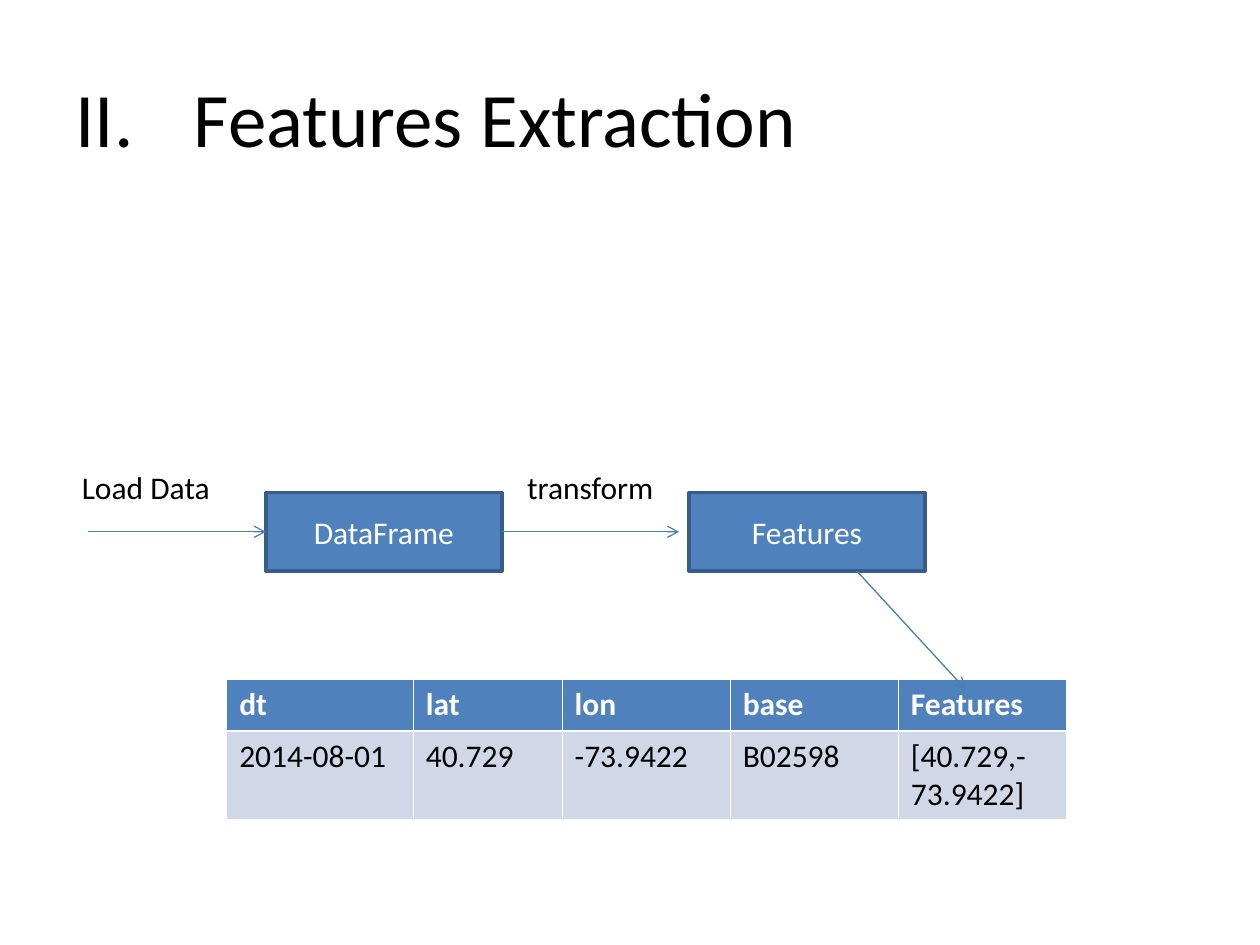
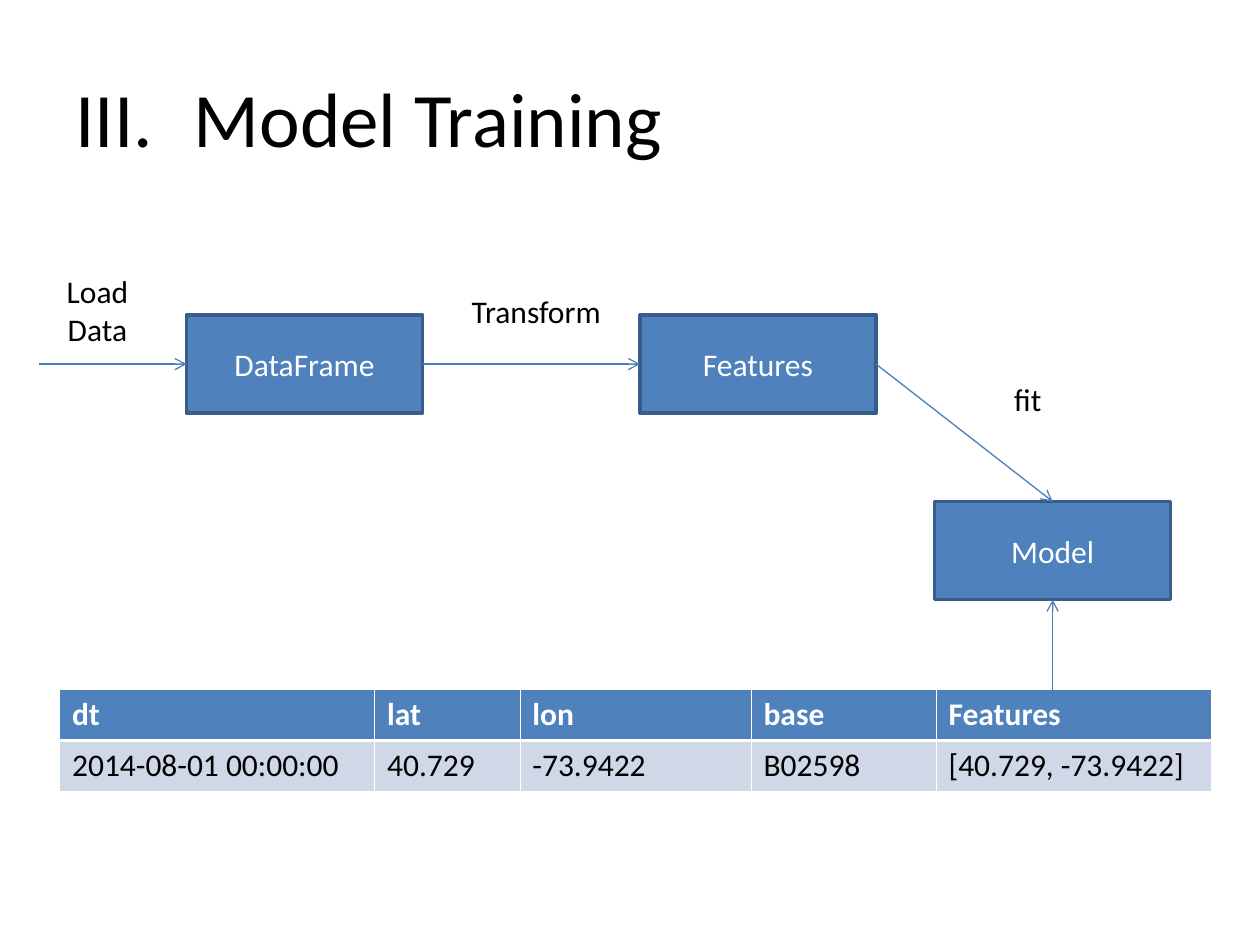
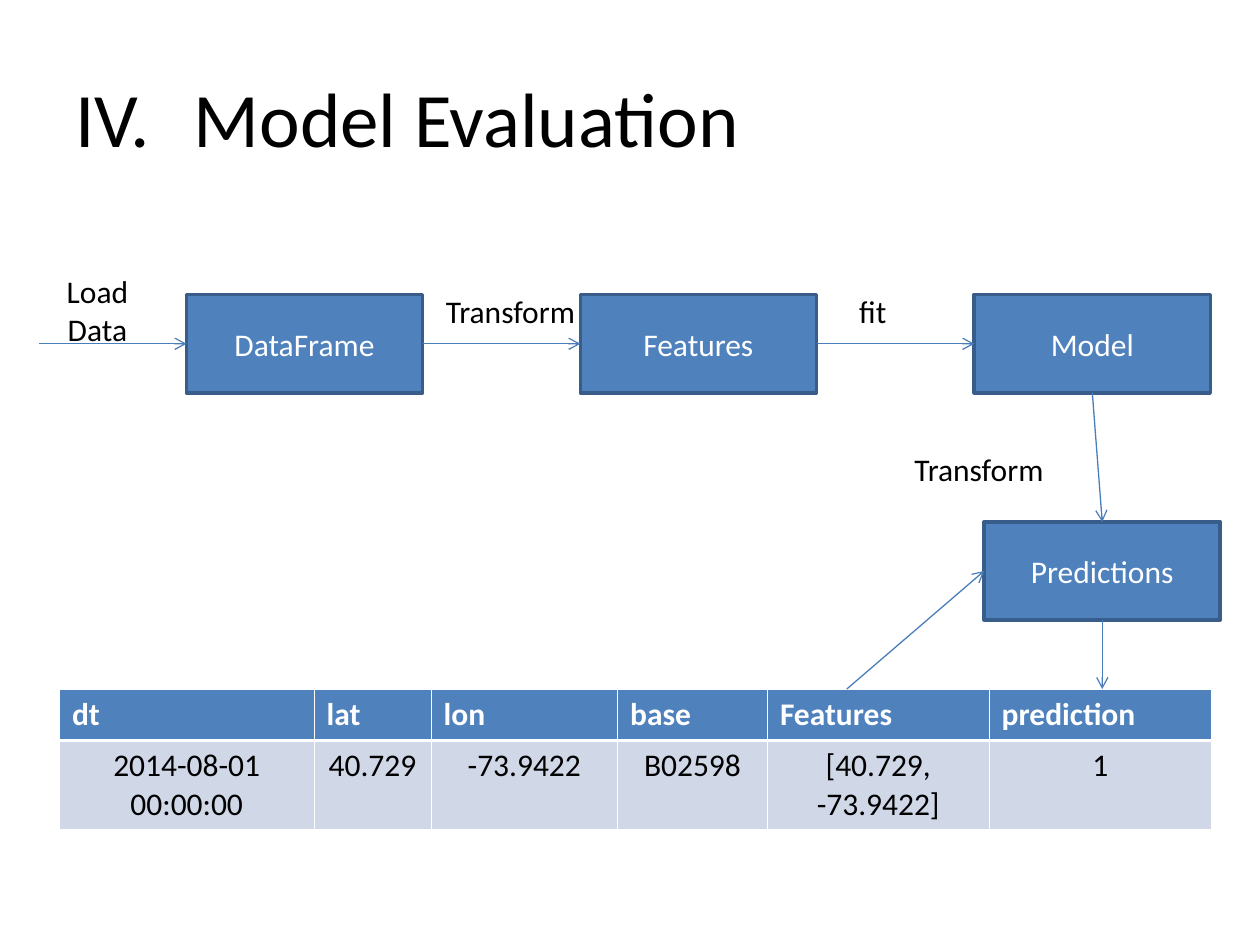
from lxml.etree import SubElement
from pptx import Presentation
from pptx.dml.color import RGBColor
from pptx.enum.shapes import MSO_CONNECTOR as Connector, MSO_SHAPE as Shape
from pptx.enum.text import MSO_ANCHOR as Anchor, PP_ALIGN as Align
from pptx.oxml.ns import qn
from pptx.util import Cm, Pt

BLACK = RGBColor(0x00, 0x00, 0x00)
WHITE = RGBColor(0xFF, 0xFF, 0xFF)
BLUE = RGBColor(0x4F, 0x81, 0xBD)
DARK_BLUE = RGBColor(0x38, 0x5D, 0x8A)
ARROW_BLUE = RGBColor(0x4A, 0x7E, 0xBB)
PALE_BLUE = RGBColor(0xD0, 0xD8, 0xE8)

FONT = "Calibri"
TOP, LEFT, BOTTOM, RIGHT = range(4)
BOX_WIDTH, BOX_HEIGHT = 4.76, 1.98
LABEL_HEIGHT = 1.02
HEADER_HEIGHT = 1.04
ONE_LINE, TWO_LINES = 1.02, 1.78
THIN, THICK = Pt(0.45), Pt(1.47)
FIELDS = ["dt", "lat", "lon", "base", "Features"]


def write(frame, text, size=18, color=BLACK, align=Align.LEFT, bold=False):
    para = frame.paragraphs[0]
    para.alignment = align
    span = para.add_run()
    span.text = text
    span.font.name = FONT
    span.font.size = Pt(size)
    span.font.bold = bold
    span.font.color.rgb = color
    return para


def add_text(page, text, left, top, width, height, **style):
    frame = page.shapes.add_textbox(Cm(left), Cm(top), Cm(width), Cm(height)).text_frame
    frame.word_wrap = True
    return frame, write(frame, text, **style)


def add_label(page, text, left, top, width, height=LABEL_HEIGHT, align=Align.CENTER):
    add_text(page, text, left, top, width, height, align=align)


def add_title(page, text, number):
    frame, para = add_text(page, text, 1.27, 0.76, 22.86, 3.18, size=44)
    frame.vertical_anchor = Anchor.MIDDLE
    properties = para._p.get_or_add_pPr()
    indent = Cm(2.39)
    properties.set("marL", str(indent))
    properties.set("indent", str(-indent))
    SubElement(properties, qn("a:buFont"), typeface=FONT)
    SubElement(properties, qn("a:buAutoNum"), type="romanUcPeriod", startAt=str(number))


def add_box(page, text, left, top, height=BOX_HEIGHT):
    box = page.shapes.add_shape(Shape.RECTANGLE, Cm(left), Cm(top), Cm(BOX_WIDTH), Cm(height))
    box.shadow.inherit = False
    box.fill.solid()
    box.fill.fore_color.rgb = BLUE
    box.line.color.rgb = DARK_BLUE
    box.line.width = Pt(2)
    box.text_frame.word_wrap = True
    box.text_frame.vertical_anchor = Anchor.MIDDLE
    write(box.text_frame, text, color=WHITE, align=Align.CENTER)
    return box


def add_arrow(page, start, end, start_side=None, end_side=None):
    """Each end is a box with a side, or a point in centimetres."""
    begin_point = (0, 0) if start_side is not None else start
    end_point = (0, 0) if end_side is not None else end
    arrow = page.shapes.add_connector(Connector.STRAIGHT, *map(Cm, begin_point + end_point))
    if start_side is not None:
        arrow.begin_connect(start, start_side)
    if end_side is not None:
        arrow.end_connect(end, end_side)
    arrow.line.color.rgb = ARROW_BLUE
    arrow.line.width = Pt(0.75)
    SubElement(arrow.line._get_or_add_ln(), qn("a:tailEnd"), type="arrow")
    SubElement(arrow._element.spPr, qn("a:effectLst"))


def add_borders(cell, top, bottom):
    properties = cell._tc.get_or_add_tcPr()
    for side, width in (("L", THIN), ("R", THIN), ("T", top), ("B", bottom)):
        border = SubElement(properties, qn(f"a:ln{side}"), w=str(width))
        fill = SubElement(border, qn("a:solidFill"))
        SubElement(fill, qn("a:srgbClr"), val=str(WHITE))


def add_data_table(page, left, top, widths, fields, values, value_height, align=Align.LEFT):
    frame = page.shapes.add_table(2, len(fields), Cm(left), Cm(top), Cm(sum(widths)),
                                  Cm(HEADER_HEIGHT + value_height))
    table = frame.table
    for row, height in zip(table.rows, (HEADER_HEIGHT, value_height)):
        row.height = Cm(height)
    for index, (width, field, value) in enumerate(zip(widths, fields, values)):
        table.columns[index].width = Cm(width)
        header, body = table.cell(0, index), table.cell(1, index)
        add_borders(header, THIN, THICK)
        add_borders(body, THICK, THIN)
        for cell, color in ((header, BLUE), (body, PALE_BLUE)):
            cell.fill.solid()
            cell.fill.fore_color.rgb = color
        write(header.text_frame, field, color=WHITE, bold=True)
        write(body.text_frame, value, align=align)


def build_extraction(page):
    add_title(page, "Features Extraction", 2)
    add_data_table(page, 4.57, 13.69, [3.76, 3.0, 3.39, 3.39, 3.39], FIELDS,
                   ["2014-08-01", "40.729", "-73.9422", "B02598", "[40.729,-73.9422]"],
                   TWO_LINES)
    data_frame = add_box(page, "DataFrame", 5.36, 9.93, 1.58)
    add_box(page, "Features", 13.89, 9.93, 1.58)
    add_arrow(page, (1.78, 10.72), data_frame, end_side=LEFT)
    add_arrow(page, data_frame, (13.69, 10.72), start_side=RIGHT)
    add_arrow(page, (17.27, 11.51), (19.46, 13.89))
    add_label(page, "Load Data", 1.4, 9.32, 3.38, align=Align.LEFT)
    add_label(page, "transform", 10.31, 9.32, 3.18)


def build_training(page):
    add_title(page, "Model Training", 3)
    add_data_table(page, 1.2, 13.89, [6.35, 2.93, 4.66, 3.73, 5.56], FIELDS,
                   ["2014-08-01 00:00:00", "40.729", "-73.9422", "B02598",
                    "[40.729, -73.9422]"], ONE_LINE)
    data_frame = add_box(page, "DataFrame", 3.76, 6.35)
    features = add_box(page, "Features", 12.9, 6.35)
    model = add_box(page, "Model", 18.84, 10.11)
    add_arrow(page, (0.79, 7.34), data_frame, end_side=LEFT)
    add_arrow(page, data_frame, features, RIGHT, LEFT)
    add_arrow(page, features, model, RIGHT, TOP)
    add_arrow(page, (21.22, 14.1), model, end_side=BOTTOM)
    add_label(page, "Load Data", 0.58, 5.36, 2.77, TWO_LINES)
    add_label(page, "Transform", 9.12, 5.77, 3.38)
    add_label(page, "fit", 19.63, 7.54, 2.18)


def build_evaluation(page):
    add_title(page, "Model Evaluation", 4)
    add_data_table(page, 1.2, 13.89, [5.13, 2.36, 3.76, 3.02, 4.47, 4.48],
                   FIELDS + ["prediction"],
                   ["2014-08-01 00:00:00", "40.729", "-73.9422", "B02598",
                    "[40.729, -73.9422]", "1"], TWO_LINES, Align.CENTER)
    data_frame, features, model = [
        add_box(page, text, 3.76 + 7.94 * index, 5.94)
        for index, text in enumerate(["DataFrame", "Features", "Model"])]
    predictions = add_box(page, "Predictions", 19.84, 10.52)
    add_arrow(page, (0.79, 6.93), data_frame, end_side=LEFT)
    add_arrow(page, data_frame, features, RIGHT, LEFT)
    add_arrow(page, features, model, RIGHT, LEFT)
    add_arrow(page, model, predictions, BOTTOM, TOP)
    add_arrow(page, predictions, (22.22, 13.89), start_side=BOTTOM)
    add_arrow(page, (17.07, 13.89), predictions, end_side=LEFT)
    add_label(page, "Load Data", 0.58, 5.36, 2.77, TWO_LINES)
    add_label(page, "Transform", 8.74, 5.77, 3.38, align=Align.LEFT)
    add_label(page, "fit", 17.07, 5.77, 2.18, align=Align.LEFT)
    add_label(page, "Transform", 17.65, 8.94, 4.17)


def main():
    deck = Presentation()
    deck.slide_width, deck.slide_height = Cm(25.4), Cm(19.05)
    for build in (build_extraction, build_training, build_evaluation):
        build(deck.slides.add_slide(deck.slide_layouts[6]))
    deck.save("out.pptx")


if __name__ == "__main__":
    main()
